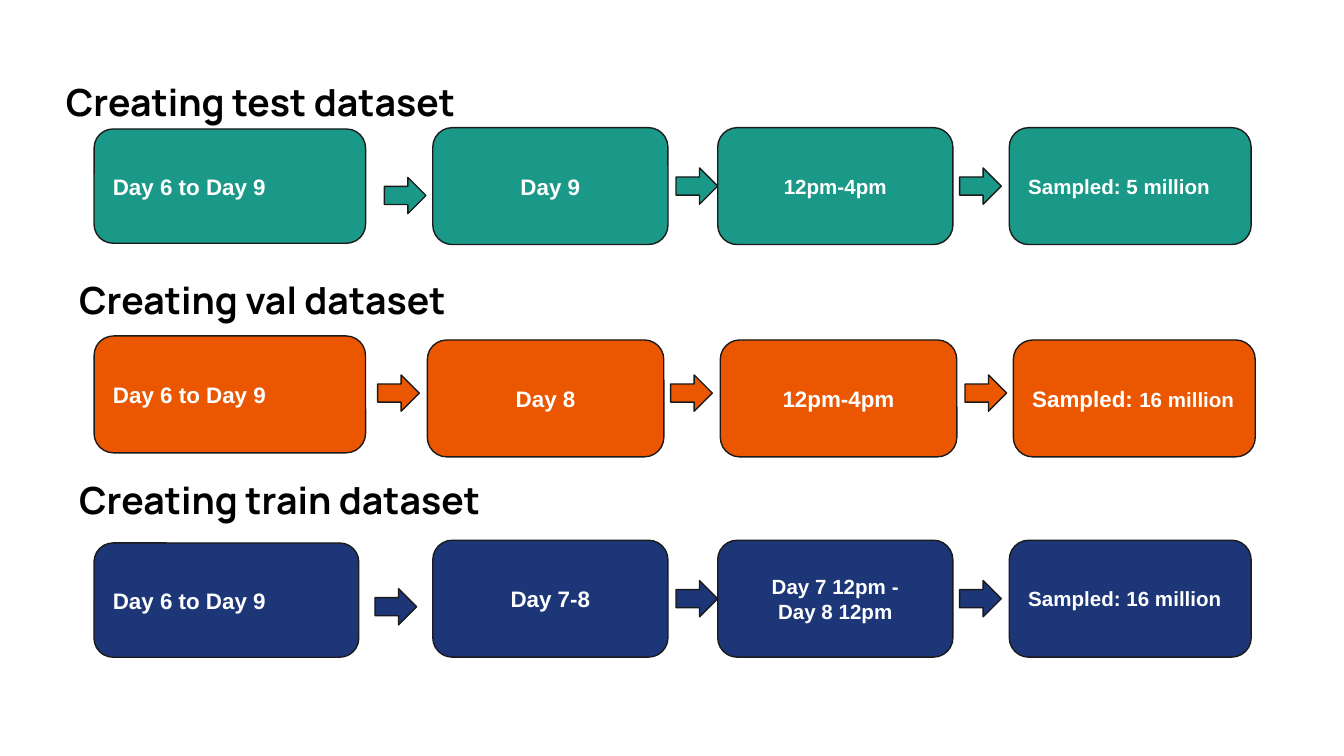
from pptx import Presentation
from pptx.dml.color import RGBColor
from pptx.enum.shapes import MSO_SHAPE
from pptx.enum.text import MSO_ANCHOR, MSO_AUTO_SIZE, PP_ALIGN
from pptx.util import Inches, Pt

TEAL = RGBColor(0x1A, 0x99, 0x88)
ORANGE = RGBColor(0xEB, 0x56, 0x00)
NAVY = RGBColor(0x1C, 0x36, 0x78)
INK = RGBColor(0x1A, 0x1A, 0x1A)
WHITE = RGBColor(0xFF, 0xFF, 0xFF)
BLACK = RGBColor(0, 0, 0)

# Grid of 100 columns; rows have the same pitch
UNIT = Inches(0.1)
LEFT, MID = PP_ALIGN.LEFT, PP_ALIGN.CENTER
ALIGNS = (LEFT, MID, MID, LEFT)

# Box columns as (left, width)
EDGE = [(32.2, 17.5), (53.4, 17.5), (75.1, 18)]
WIDE = [(31.8, 17.6), (53.6, 17.6), (75.4, 18)]

# Each text is a list of lines, each line a list of (words, size) runs
START = [[("Day 6 to Day 9", 12)]]
FLOWS = [
    dict(head="Creating test dataset", spot=(3.9, 4.9), fill=TEAL,
         top=9.5, first=(7, 9.6, 20.2, 8.5), rest=EDGE,
         arrows=[(28.6, 13.2), (50.3, 12.5), (71.4, 12.5)],
         texts=[START, [[("Day 9", 12)]], [[("12pm-4pm", 11)]],
                [[("Sampled: 5 million", 11)]]]),
    dict(head="Creating val dataset", spot=(4.9, 19.6), fill=ORANGE,
         top=25.3, first=(7, 25, 20.2, 8.7), rest=WIDE,
         arrows=[(28.1, 27.9), (49.9, 27.9), (71.8, 27.9)],
         texts=[START, [[("Day 8", 12)]], [[("12pm-4pm", 12)]],
                [[("Sampled: ", 12), ("16 million", 11)]]]),
    dict(head="Creating train dataset", spot=(4.9, 34.5), fill=NAVY,
         top=40.2, first=(7, 40.4, 19.7, 8.5), rest=EDGE,
         arrows=[(27.9, 43.8), (50.3, 43.2), (71.4, 43.2)],
         texts=[START, [[("Day 7-8", 12)]],
                [[("Day 7 12pm -", 11)], [("Day 8 12pm", 11)]],
                [[("Sampled: 16 million", 11)]]]),
]


def grid(*cells):
    return [round(c * UNIT) for c in cells]


def write(shape, lines, font, color, align, anchor):
    frame = shape.text_frame
    frame.word_wrap = True
    frame.auto_size = MSO_AUTO_SIZE.NONE
    frame.vertical_anchor = anchor
    frame.margin_left = frame.margin_right = UNIT
    frame.margin_top = frame.margin_bottom = UNIT
    for i, line in enumerate(lines):
        para = frame.add_paragraph() if i else frame.paragraphs[0]
        para.alignment = align
        for words, size in line:
            run = para.add_run()
            run.text = words
            run.font.name = font
            run.font.size = Pt(size)
            run.font.bold = True
            run.font.color.rgb = color


def block(slide, kind, cells, fill):
    shape = slide.shapes.add_shape(kind, *grid(*cells))
    shape.shadow.inherit = False
    shape.fill.solid()
    shape.fill.fore_color.rgb = fill
    shape.line.color.rgb = INK
    shape.line.width = Pt(0.75)
    return shape


def heading(shape, words):
    write(shape, [[(words, 20)]], "Manrope", BLACK, LEFT, MSO_ANCHOR.TOP)


def chain(slide, flow):
    # Boxes
    boxes = [flow["first"]]
    boxes += [(x, flow["top"], w, 8.7) for x, w in flow["rest"]]
    for cells, text, align in zip(boxes, flow["texts"], ALIGNS):
        box = block(slide, MSO_SHAPE.ROUNDED_RECTANGLE, cells, flow["fill"])
        write(box, text, "Arial", WHITE, align, MSO_ANCHOR.MIDDLE)
    # Arrows between them
    for x, y in flow["arrows"]:
        block(slide, MSO_SHAPE.RIGHT_ARROW, (x, y, 3.1, 2.7), flow["fill"])


def main():
    deck = Presentation()
    deck.slide_width, deck.slide_height = grid(100, 56.25)
    slide = deck.slides.add_slide(deck.slide_layouts[5])

    for i, flow in enumerate(FLOWS):
        chain(slide, flow)
        # The first heading is the slide's title
        place = grid(*flow["spot"], 84.1, 4.7)
        if i:
            label = slide.shapes.add_textbox(*place)
        else:
            label = slide.shapes.title
            label.left, label.top, label.width, label.height = place
        heading(label, flow["head"])

    deck.save("out.pptx")


if __name__ == "__main__":
    main()
